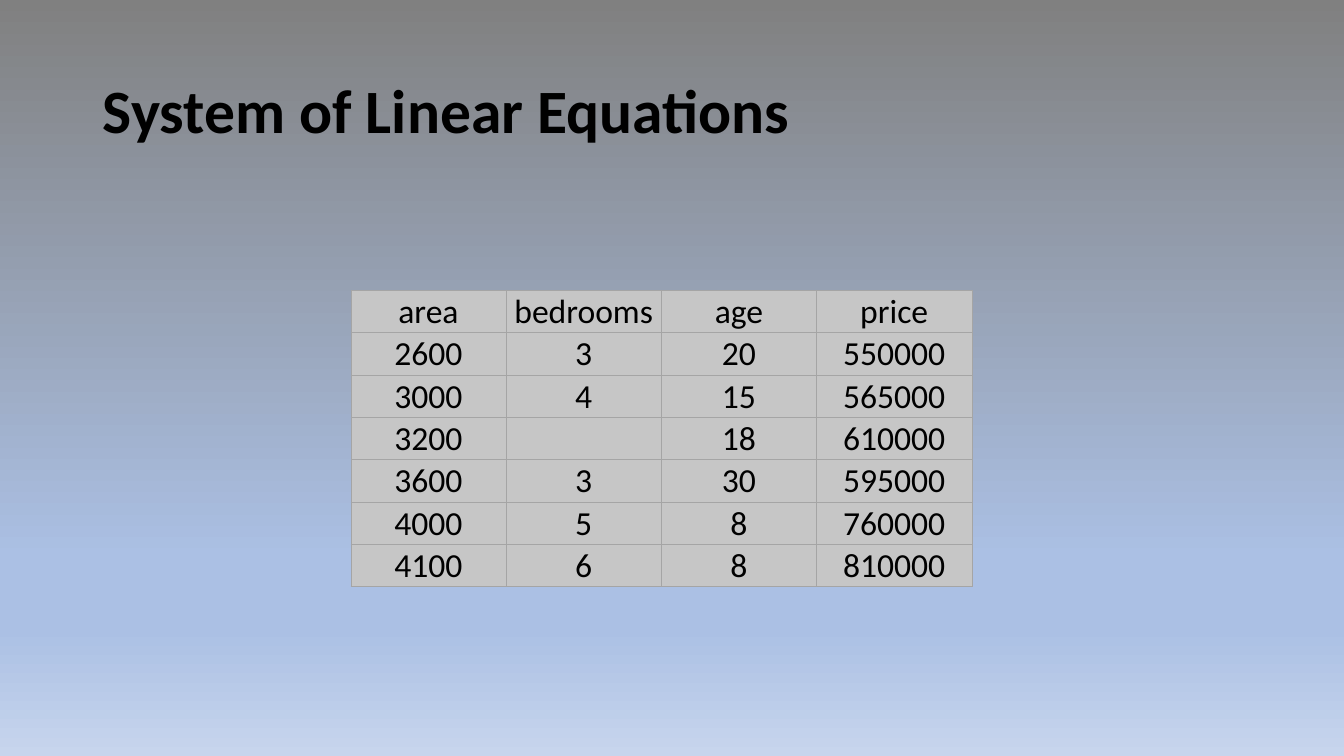
from copy import deepcopy

from lxml import etree
from pptx import Presentation
from pptx.dml.color import RGBColor
from pptx.enum.text import MSO_ANCHOR, PP_ALIGN
from pptx.oxml.ns import qn
from pptx.util import Inches, Pt

BOTTOM, MIDDLE = MSO_ANCHOR.BOTTOM, MSO_ANCHOR.MIDDLE
CENTER, LEFT = PP_ALIGN.CENTER, PP_ALIGN.LEFT
FONT, TEXT, CELL_FILL, BORDER = "Calibri", "000000", "C6C6C6", "A5A5A5"
BACKGROUND_STOPS = [(0, "808080"), (0.74, "ABC0E4"), (0.83, "ABC0E4"), (1, "C7D5ED")]
COLUMN_WIDTH, ROW_HEIGHT = Inches(1.54), Inches(0.42)
HOUSES = [
    ("area", "bedrooms", "age", "price"),
    ("2600", "3", "20", "550000"),
    ("3000", "4", "15", "565000"),
    ("3200", "", "18", "610000"),
    ("3600", "3", "30", "595000"),
    ("4000", "5", "8", "760000"),
    ("4100", "6", "8", "810000"),
]


def color(value):
    return RGBColor.from_string(value)


def format_text(paragraph, size, alignment, bold=False):
    paragraph.alignment = alignment
    for run in paragraph.runs:
        run.font.name, run.font.size, run.font.bold = FONT, Pt(size), bold
        run.font.color.rgb = color(TEXT)


presentation = Presentation()
presentation.slide_width, presentation.slide_height = Inches(13.33), Inches(7.5)
slide = presentation.slides.add_slide(presentation.slide_layouts[5])

# Background: vertical gradient with four stops
fill = slide.background.fill
fill.gradient()
fill.gradient_angle = 270
stop_list = slide.element.find(".//" + qn("a:gsLst"))
while len(stop_list) < len(BACKGROUND_STOPS):
    stop_list.append(deepcopy(stop_list[0]))
for stop, (position, value) in zip(fill.gradient_stops, BACKGROUND_STOPS):
    stop.position = position
    stop.color.rgb = color(value)

# Title
title = slide.shapes.title
title.left, title.top = Inches(0.92), Inches(0.4)
title.width, title.height = Inches(11.5), Inches(1.45)
title.text_frame.text = "System of Linear Equations"
title.text_frame.vertical_anchor = MIDDLE
title_paragraph = title.text_frame.paragraphs[0]
title_paragraph.line_spacing = 0.9
format_text(title_paragraph, 44, LEFT, bold=True)

# Table of houses
rows, columns = len(HOUSES), len(HOUSES[0])
table = slide.shapes.add_table(
    rows, columns, Inches(3.48), Inches(2.88), columns * COLUMN_WIDTH, rows * ROW_HEIGHT
).table
table.first_row = table.horz_banding = False
for row, house in enumerate(HOUSES):
    for column, value in enumerate(house):
        cell = table.cell(row, column)
        cell.text = value
        cell.vertical_anchor = BOTTOM
        cell.margin_left = cell.margin_right = cell.margin_top = Inches(0.01)
        cell.margin_bottom = 0
        format_text(cell.text_frame.paragraphs[0], 24, CENTER)

        # Cell borders come before the fill in the cell properties
        properties = cell._tc.get_or_add_tcPr()
        for side in ("a:lnL", "a:lnR", "a:lnT", "a:lnB"):
            line = etree.SubElement(properties, qn(side), w=str(Pt(0.5)))
            line_fill = etree.SubElement(line, qn("a:solidFill"))
            etree.SubElement(line_fill, qn("a:srgbClr"), val=BORDER)
        cell.fill.solid()
        cell.fill.fore_color.rgb = color(CELL_FILL)

presentation.save("out.pptx")
